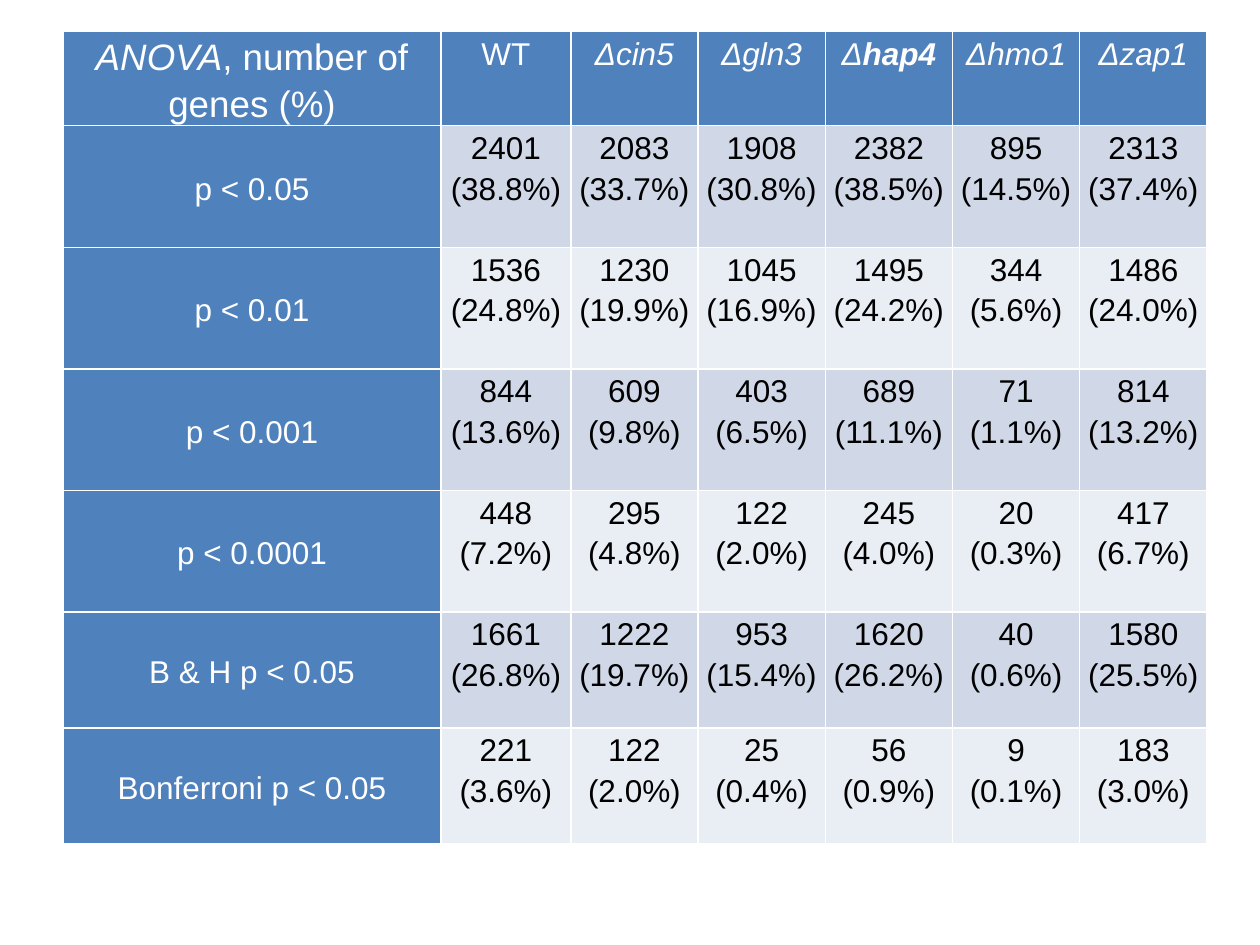
from dataclasses import dataclass

from lxml import etree
from pptx import Presentation
from pptx import util as u
from pptx.dml import color
from pptx.enum import text
from pptx.oxml import ns

COLORS = {"header": "4F81BD", "odd": "D0D8E8", "even": "E9EDF4",
          "light": "FFFFFF", "dark": "000000"}
FONT = "Arial"
COLUMN_WIDTHS = [3, 1.03] + [1.01] * 5
ROW_HEIGHTS = [0.74] + [0.965] * 4 + [0.92] * 2


@dataclass(frozen=True)
class Run:
    words: str
    size: float = 18
    italic: bool = False
    bold: bool = False


@dataclass(frozen=True)
class Threshold:
    label: str
    counts: tuple[str, ...]


HEADINGS = [
    [Run("ANOVA", 21, italic=True), Run(", number of genes (%)", 21)],
    [Run("WT")],
    [Run("Δcin5", italic=True)],
    [Run("Δgln3", italic=True)],
    [Run("Δ", italic=True), Run("hap4", italic=True, bold=True)],
    [Run("Δhmo1", italic=True)],
    [Run("Δzap1", italic=True)],
]

THRESHOLDS = [
    Threshold("p < 0.05", ("2401 (38.8%)", "2083 (33.7%)", "1908 (30.8%)",
                           "2382 (38.5%)", "895 (14.5%)", "2313 (37.4%)")),
    Threshold("p < 0.01", ("1536 (24.8%)", "1230 (19.9%)", "1045 (16.9%)",
                           "1495 (24.2%)", "344 (5.6%)", "1486 (24.0%)")),
    Threshold("p < 0.001", ("844 (13.6%)", "609 (9.8%)", "403 (6.5%)",
                            "689 (11.1%)", "71 (1.1%)", "814 (13.2%)")),
    Threshold("p < 0.0001", ("448 (7.2%)", "295 (4.8%)", "122 (2.0%)",
                             "245 (4.0%)", "20 (0.3%)", "417 (6.7%)")),
    Threshold("B & H p < 0.05", ("1661 (26.8%)", "1222 (19.7%)", "953 (15.4%)",
                                 "1620 (26.2%)", "40 (0.6%)", "1580 (25.5%)")),
    Threshold("Bonferroni p < 0.05", ("221 (3.6%)", "122 (2.0%)", "25 (0.4%)",
                                      "56 (0.9%)", "9 (0.1%)", "183 (3.0%)")),
]


def rgb(name: str) -> color.RGBColor:
    return color.RGBColor.from_string(COLORS[name])


def add_borders(cell) -> None:
    properties = cell._tc.get_or_add_tcPr()
    for side in ("L", "R", "T", "B"):
        line = etree.SubElement(properties, ns.qn(f"a:ln{side}"), w=str(u.Pt(1)))
        fill = etree.SubElement(line, ns.qn("a:solidFill"))
        etree.SubElement(fill, ns.qn("a:srgbClr"), val=COLORS["light"])


def write_cell(cell, runs: list[Run], fill: str, ink: str,
               anchor=text.MSO_ANCHOR.TOP) -> None:
    add_borders(cell)
    cell.fill.solid()
    cell.fill.fore_color.rgb = rgb(fill)
    cell.margin_left = cell.margin_right = u.Inches(0.06)
    cell.margin_top = cell.margin_bottom = u.Inches(0)
    cell.vertical_anchor = anchor
    paragraph = cell.text_frame.paragraphs[0]
    paragraph.alignment = text.PP_ALIGN.CENTER
    paragraph.line_spacing = 1.15
    for item in runs:
        run = paragraph.add_run()
        run.text = item.words
        run.font.name = FONT
        run.font.size = u.Pt(item.size)
        run.font.italic = item.italic
        run.font.bold = item.bold
        run.font.color.rgb = rgb(ink)


def add_anova_table(slide) -> None:
    frame = slide.shapes.add_table(
        len(ROW_HEIGHTS), len(COLUMN_WIDTHS), u.Inches(0.5), u.Inches(0.25),
        u.Inches(sum(COLUMN_WIDTHS)), u.Inches(sum(ROW_HEIGHTS)))
    table = frame.table
    for column, width in zip(table.columns, COLUMN_WIDTHS):
        column.width = u.Inches(width)
    for row, height in zip(table.rows, ROW_HEIGHTS):
        row.height = u.Inches(height)

    # Strain headings
    for index, runs in enumerate(HEADINGS):
        write_cell(table.cell(0, index), runs, "header", "light")

    # Gene counts for each significance threshold
    for row_index, threshold in enumerate(THRESHOLDS, start=1):
        write_cell(table.cell(row_index, 0), [Run(threshold.label)],
                   "header", "light", text.MSO_ANCHOR.MIDDLE)
        band = "odd" if row_index % 2 else "even"
        for column_index, count in enumerate(threshold.counts, start=1):
            write_cell(table.cell(row_index, column_index), [Run(count)], band, "dark")


def main() -> None:
    presentation = Presentation()
    presentation.slide_width = u.Inches(10)
    presentation.slide_height = u.Inches(7.5)
    slide = presentation.slides.add_slide(presentation.slide_layouts[6])
    add_anova_table(slide)
    presentation.save("out.pptx")


if __name__ == "__main__":
    main()
